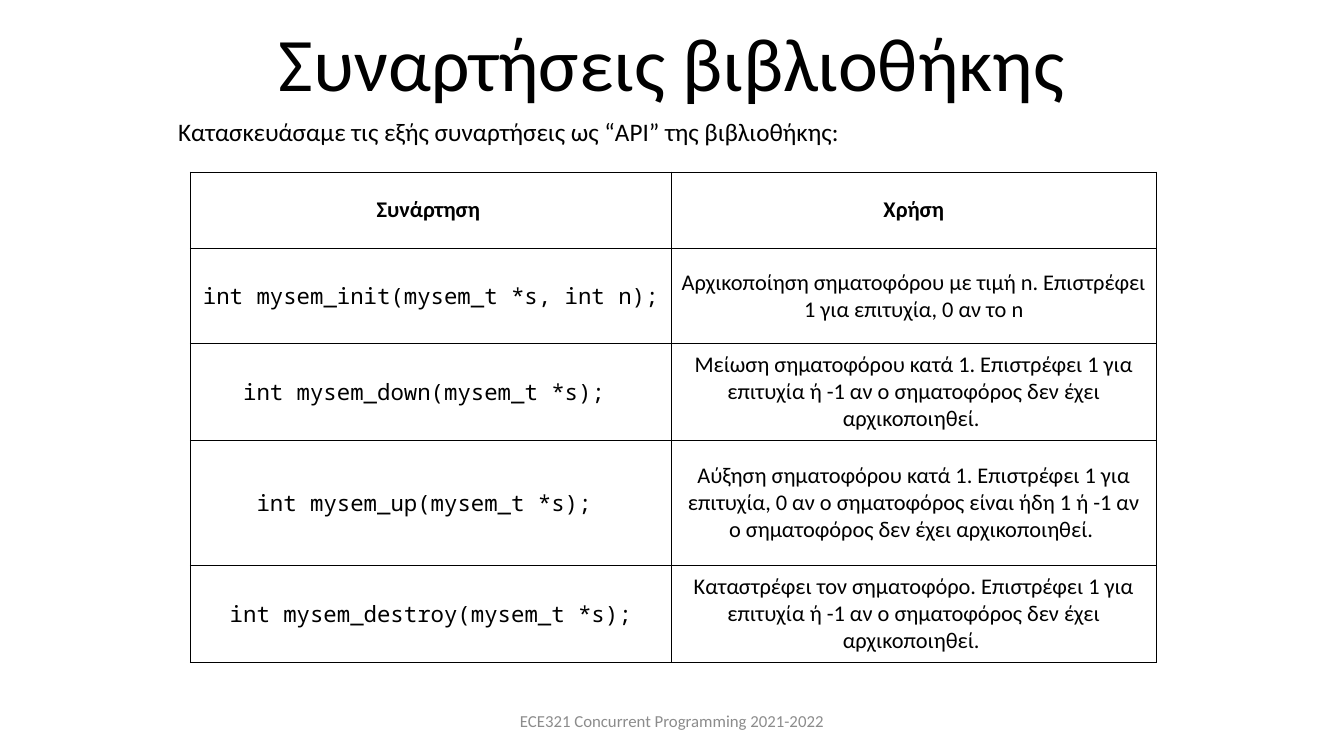
from dataclasses import dataclass

from lxml import etree
from pptx import Presentation
from pptx.dml.color import RGBColor
from pptx.enum import text
from pptx.oxml import ns
from pptx.util import Pt

TITLE = "Συναρτήσεις βιβλιοθήκης"
INTRO = "Κατασκευάσαμε τις εξής συναρτήσεις ως “API” της βιβλιοθήκης:"
FOOTER = "ECE321 Concurrent Programming 2021-2022"
HEADER = ("Συνάρτηση ", "Χρήση")
FUNCTIONS = [
    ("int mysem_init(mysem_t *s, int n);",
     "Αρχικοποίηση σηματοφόρου με τιμή n. Επιστρέφει 1 για επιτυχία, 0 αν το n"),
    ("int mysem_down(mysem_t *s); ",
     "Μείωση σηματοφόρου κατά 1. Επιστρέφει 1 για επιτυχία ή -1 αν ο "
     "σηματοφόρος δεν έχει αρχικοποιηθεί. "),
    ("int mysem_up(mysem_t *s); ",
     "Αύξηση σηματοφόρου κατά 1. Επιστρέφει 1 για επιτυχία, 0 αν ο σηματοφόρος "
     "είναι ήδη 1 ή -1 αν ο σηματοφόρος δεν έχει αρχικοποιηθεί. "),
    ("int mysem_destroy(mysem_t *s);",
     "Καταστρέφει τον σηματοφόρο. Επιστρέφει 1 για επιτυχία ή -1 αν ο "
     "σηματοφόρος δεν έχει αρχικοποιηθεί. "),
]
COLUMN_WIDTHS = (343.5, 346.5)
ROW_HEIGHTS = (54.5, 68, 69, 89.5, 69)


@dataclass(frozen=True)
class Theme:
    ink: str = "000000"
    muted: str = "8C8C8C"
    font: str = "Calibri"
    code_font: str = "Noto Sans Mono"
    title_size: int = 54
    intro_size: int = 18
    table_size: int = 16
    footer_size: int = 12


theme = Theme()


def write(frame, words, size, font=theme.font, color=theme.ink, bold=False,
          align=text.PP_ALIGN.CENTER, spacing=1.0):
    frame.word_wrap = True
    para = frame.paragraphs[0]
    para.alignment = align
    para.line_spacing = spacing
    para.space_before = Pt(0)
    span = para.add_run()
    span.text = words
    span.font.name = font
    span.font.size = Pt(size)
    span.font.bold = bold
    span.font.color.rgb = RGBColor.from_string(color)


def place(box, left, top, width, height, anchor):
    box.left, box.top, box.width, box.height = map(Pt, (left, top, width, height))
    box.text_frame.auto_size = text.MSO_AUTO_SIZE.NONE
    box.text_frame.vertical_anchor = anchor
    return box.text_frame


def outline(cell):
    """Leave the cell unfilled and rule all four of its sides."""
    cell.fill.background()
    properties = cell._tc.get_or_add_tcPr()
    for index, side in enumerate(("lnL", "lnR", "lnT", "lnB")):
        line = etree.Element(ns.qn(f"a:{side}"), w=str(Pt(1)))
        fill = etree.SubElement(line, ns.qn("a:solidFill"))
        etree.SubElement(fill, ns.qn("a:srgbClr"), val=theme.ink)
        properties.insert(index, line)


def add_function_table(page):
    rows = [HEADER, *FUNCTIONS]
    frame = page.shapes.add_table(
        len(rows), len(HEADER), Pt(136), Pt(123),
        Pt(sum(COLUMN_WIDTHS)), Pt(sum(ROW_HEIGHTS)))
    table = frame.table
    table.horz_banding = False
    for column, width in zip(table.columns, COLUMN_WIDTHS):
        column.width = Pt(width)
    for r, (row, height) in enumerate(zip(table.rows, ROW_HEIGHTS)):
        row.height = Pt(height)
        for c, cell in enumerate(row.cells):
            is_code = r > 0 and c == 0
            outline(cell)
            cell.vertical_anchor = text.MSO_ANCHOR.MIDDLE
            write(cell.text_frame, rows[r][c], theme.table_size, bold=r == 0,
                  font=theme.code_font if is_code else theme.font)


def main():
    deck = Presentation()
    deck.slide_width, deck.slide_height = Pt(960), Pt(540)
    page = deck.slides.add_slide(deck.slide_layouts[0])

    title = place(page.shapes.title, 75, 15, 810, 65.5, text.MSO_ANCHOR.BOTTOM)
    write(title, TITLE, theme.title_size, spacing=0.9)
    intro = place(page.placeholders[1], 120, 82, 720, 26.5, text.MSO_ANCHOR.TOP)
    write(intro, INTRO, theme.intro_size, align=text.PP_ALIGN.LEFT, spacing=0.9)

    add_function_table(page)

    footer = place(page.shapes.add_textbox(0, 0, 0, 0), 318, 500.5, 324, 28.5,
                   text.MSO_ANCHOR.MIDDLE)
    write(footer, FOOTER, theme.footer_size, color=theme.muted)

    deck.save("out.pptx")


if __name__ == "__main__":
    main()
